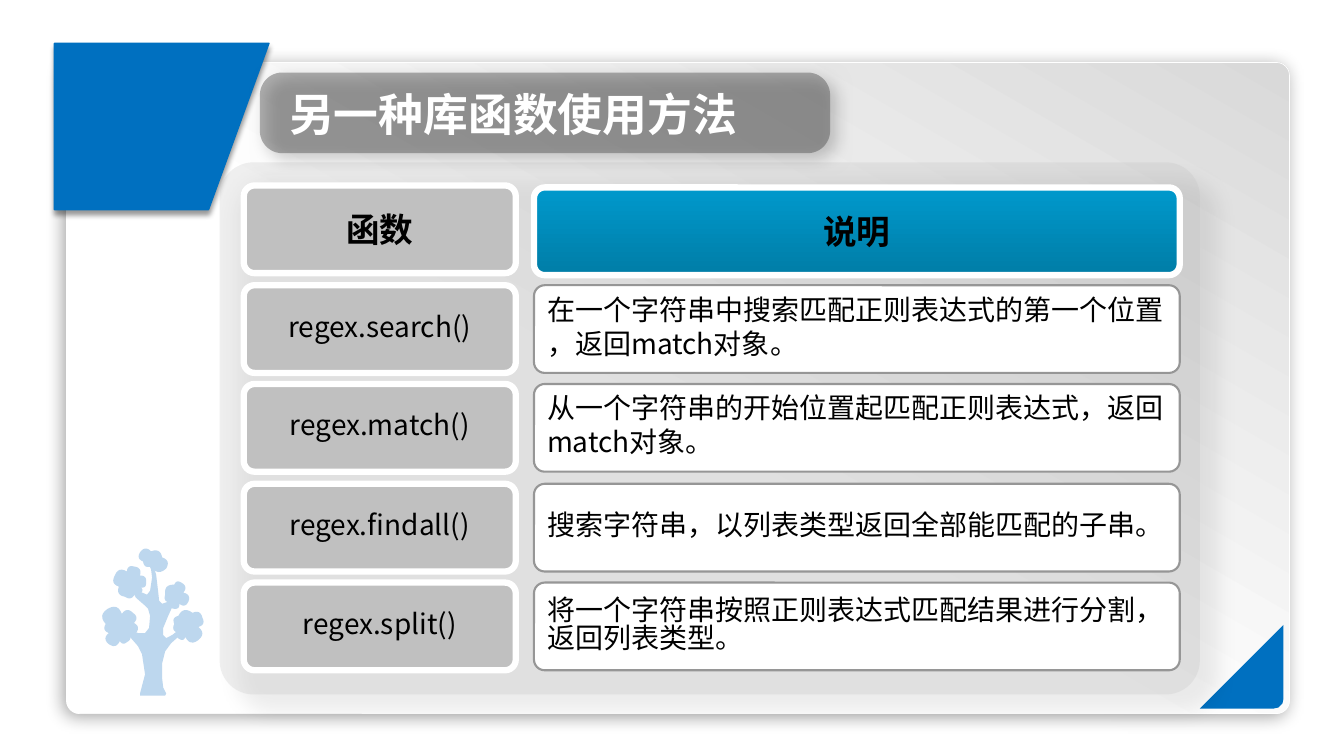
from lxml.etree import SubElement
from pptx import Presentation
from pptx.dml.color import RGBColor
from pptx.enum.shapes import MSO_SHAPE
from pptx.enum.text import MSO_ANCHOR, MSO_AUTO_SIZE, PP_ALIGN
from pptx.oxml.ns import qn
from pptx.util import Emu, Pt

PX = 9144
FONT = "Noto Sans CJK SC"
WHITE = RGBColor(0xFF, 0xFF, 0xFF)
BLACK = RGBColor(0x00, 0x00, 0x00)
BLUE = RGBColor(0x00, 0x70, 0xC0)
PALE_BLUE = RGBColor(0xBD, 0xD7, 0xEE)
TEAL = RGBColor(0x00, 0x99, 0xCC)
DARK_TEAL = RGBColor(0x00, 0x7D, 0xA7)
SILVER = RGBColor(0xC0, 0xC0, 0xC0)
LIGHT_GREY = RGBColor(0xD9, 0xD9, 0xD9)
MID_GREY = RGBColor(0x96, 0x96, 0x96)
DARK_GREY = RGBColor(0x40, 0x40, 0x40)

TITLE = {"size": Pt(32), "bold": True, "color": WHITE}
HEADING = {"size": Pt(24), "bold": True, "color": BLACK}
BODY = {"size": Pt(20), "bold": False, "color": BLACK}
TIGHT, LOOSE = Pt(19.5), Pt(24.3)

ROWS = [
    ("regex.search()", ["在一个字符串中搜索匹配正则表达式的第一个位置", "，返回match对象。"], LOOSE),
    ("regex.match()", ["从一个字符串的开始位置起匹配正则表达式，返回", "match对象。"], LOOSE),
    ("regex.findall()", ["搜索字符串，以列表类型返回全部能匹配的子串。"], TIGHT),
    ("regex.split()", ["将一个字符串按照正则表达式匹配结果进行分割，", "返回列表类型。"], TIGHT),
]
CROWNS = [
    [(133, 618), (132, 608), (121, 609), (107, 604), (105, 619), (108, 628),
     (108, 639), (119, 636), (126, 637), (128, 629), (135, 628)],
    [(139, 571), (133, 562), (126, 567), (114, 571), (118, 582), (124, 592),
     (134, 589), (140, 588), (140, 583), (145, 578)],
    [(165, 564), (161, 553), (150, 547), (139, 548), (142, 557), (150, 562)],
    [(178, 599), (187, 597), (182, 588), (180, 578), (173, 580), (164, 590),
     (169, 598), (173, 604)],
    [(201, 613), (191, 608), (177, 611), (173, 619), (177, 628), (178, 634),
     (184, 632), (197, 635), (197, 622)],
]
TRUNK = [
    (186, 613), (185, 613), (180, 623), (171, 630), (165, 633), (162, 630),
    (162, 623), (167, 611), (172, 600), (172, 588), (170, 589), (167, 597),
    (161, 599), (158, 596), (157, 587), (155, 570), (153, 564), (149, 558),
    (147, 558), (150, 565), (151, 573), (149, 586), (146, 590), (139, 587),
    (133, 578), (131, 577), (131, 586), (135, 593), (143, 600), (147, 604),
    (149, 611), (148, 623), (144, 628), (137, 628), (129, 625), (120, 620),
    (119, 621), (130, 633), (137, 641), (141, 649), (144, 669), (139, 688),
    (139, 690), (148, 690), (164, 690), (165, 688), (162, 682), (161, 673),
    (161, 658), (164, 646), (170, 638), (179, 630), (185, 623),
]


def paint(sp, fill, line=None, width=1, alpha=None, angle=0):
    """Fill a shape with a colour or gradient stops and set its outline."""
    sp.shadow.inherit = False
    if isinstance(fill, list):
        sp.fill.gradient()
        sp.fill.gradient_angle = angle
        for stop, (position, color) in zip(sp.fill.gradient_stops, fill):
            stop.position = position
            stop.color.rgb = color
    else:
        sp.fill.solid()
        sp.fill.fore_color.rgb = fill
    if alpha is not None:
        color = sp._element.spPr.find(qn("a:solidFill"))[0]
        SubElement(color, qn("a:alpha"), val=str(alpha * 1000))
    if line is None:
        sp.line.fill.background()
    else:
        sp.line.color.rgb = line
        sp.line.width = Pt(width)


def add_shadow(sp, alpha, blur, dist, angle):
    """Give a shape a soft black outer shadow."""
    effects = sp._element.spPr.find(qn("a:effectLst"))
    shadow = SubElement(effects, qn("a:outerShdw"), blurRad=str(Pt(blur)),
                        dist=str(Pt(dist)), dir=str(angle * 60000),
                        algn="ctr", rotWithShape="0")
    color = SubElement(shadow, qn("a:srgbClr"), val=str(BLACK))
    SubElement(color, qn("a:alpha"), val=str(alpha * 1000))


def add_box(s, box, corner, fill, **look):
    """Add a rounded rectangle placed in px."""
    sp = s.shapes.add_shape(MSO_SHAPE.ROUNDED_RECTANGLE, *(Emu(v * PX) for v in box))
    sp.adjustments[0] = corner
    paint(sp, fill, **look)
    return sp


def add_outline(s, points, fill, **look):
    """Add a closed freeform through points in px."""
    emu = [(round(x * PX), round(y * PX)) for x, y in points]
    builder = s.shapes.build_freeform(*emu[0], scale=1.0)
    builder.add_line_segments(emu[1:], close=True)
    sp = builder.convert_to_shape()
    paint(sp, fill, **look)
    return sp


def scallop(points, steps=6, bulge=0.6):
    """Return an outline whose sides, taken anticlockwise, bulge outwards."""
    outline = []
    for (x0, y0), (x1, y1) in zip(points, points[1:] + points[:1]):
        cx = (x0 + x1) / 2 - bulge * (y1 - y0)
        cy = (y0 + y1) / 2 + bulge * (x1 - x0)
        for t in (i / steps for i in range(steps)):
            a, b, c = (1 - t) ** 2, 2 * t * (1 - t), t * t
            outline.append((a * x0 + b * cx + c * x1, a * y0 + b * cy + c * y1))
    return outline


def write(sp, lines, style, align, spacings=(), wrap=False):
    """Write one paragraph per line, centred vertically."""
    tf = sp.text_frame
    tf.word_wrap = wrap
    tf.auto_size = MSO_AUTO_SIZE.NONE
    tf.vertical_anchor = MSO_ANCHOR.MIDDLE
    for i, line in enumerate(lines):
        p = tf.paragraphs[0] if i == 0 else tf.add_paragraph()
        p.alignment = align
        if spacings:
            p.line_spacing = spacings[i]
        r = p.add_run()
        r.text = line
        for name, value in style.items():
            if name == "color":
                r.font.color.rgb = value
            else:
                setattr(r.font, name, value)
        r.font.name = FONT
        SubElement(r._r.get_or_add_rPr(), qn("a:ea"), typeface=FONT)


def add_backdrop(s):
    """Add the page panel, its blue corners and the tree."""
    panel = add_box(s, (66, 62, 1214, 646), 0.02, [(0.45, WHITE), (1, LIGHT_GREY)],
                    line=WHITE, width=0.5, angle=60)
    add_shadow(panel, 34, 12, 3, 135)
    add_outline(s, [(1274, 620), (1274, 693), (1273, 698), (1269, 702),
                    (1264, 703), (1191, 703)], BLUE)
    tab = add_outline(s, [(267, 43), (54, 43), (54, 208), (207, 208)], BLUE, line=BLUE)
    add_shadow(tab, 40, 4, 3, 90)
    for crown in CROWNS:
        add_outline(s, scallop(crown), PALE_BLUE)
    add_outline(s, TRUNK, PALE_BLUE)


def add_function_grid(s):
    """Add the two headings and a pair of boxes for each function."""
    tray = add_box(s, (218, 161, 973, 528), 0.064, SILVER, alpha=25)
    add_shadow(tray, 30, 15, 18, 45)
    name_look = {"line": WHITE, "width": 4.5}
    left, right, height, corner = (242, 270), (530, 641), 87, 0.123

    def cell(column, top, fill, **look):
        return add_box(s, (column[0], top, column[1], height), corner, fill, **look)

    heading = cell(right, 186, [(0, TEAL), (1, DARK_TEAL)], angle=270, **name_look)
    write(heading, ["说明"], HEADING, PP_ALIGN.CENTER)
    write(cell(left, 184, SILVER, **name_look), ["函数"], HEADING, PP_ALIGN.CENTER)
    for i, (name, lines, second) in enumerate(ROWS, 1):
        top = 184 + (197 * i + 1) // 2
        write(cell(left, top, SILVER, **name_look), [name], BODY, PP_ALIGN.CENTER, [TIGHT])
        write(cell(right, top, WHITE, line=MID_GREY, width=1.5), lines, BODY,
              PP_ALIGN.LEFT, [TIGHT, second])


def add_title(s):
    """Add the grey title plate and lay the title over it."""
    plate = add_box(s, (258, 72, 566, 80), 0.278, DARK_GREY, alpha=40)
    add_shadow(plate, 50, 12, 6, 45)
    title = s.shapes.title
    for name, value in {"left": 277, "top": 81, "width": 508, "height": 64}.items():
        setattr(title, name, Emu(value * PX))
    write(title, ["另一种库函数使用方法"], TITLE, PP_ALIGN.LEFT, wrap=True)
    s.shapes._spTree.append(title._element)


def main():
    """Build the slide and save it."""
    prs = Presentation()
    prs.slide_width, prs.slide_height = Emu(1334 * PX), Emu(750 * PX)
    s = prs.slides.add_slide(prs.slide_layouts[5])
    add_backdrop(s)
    add_function_grid(s)
    add_title(s)
    prs.save("out.pptx")


if __name__ == "__main__":
    main()
